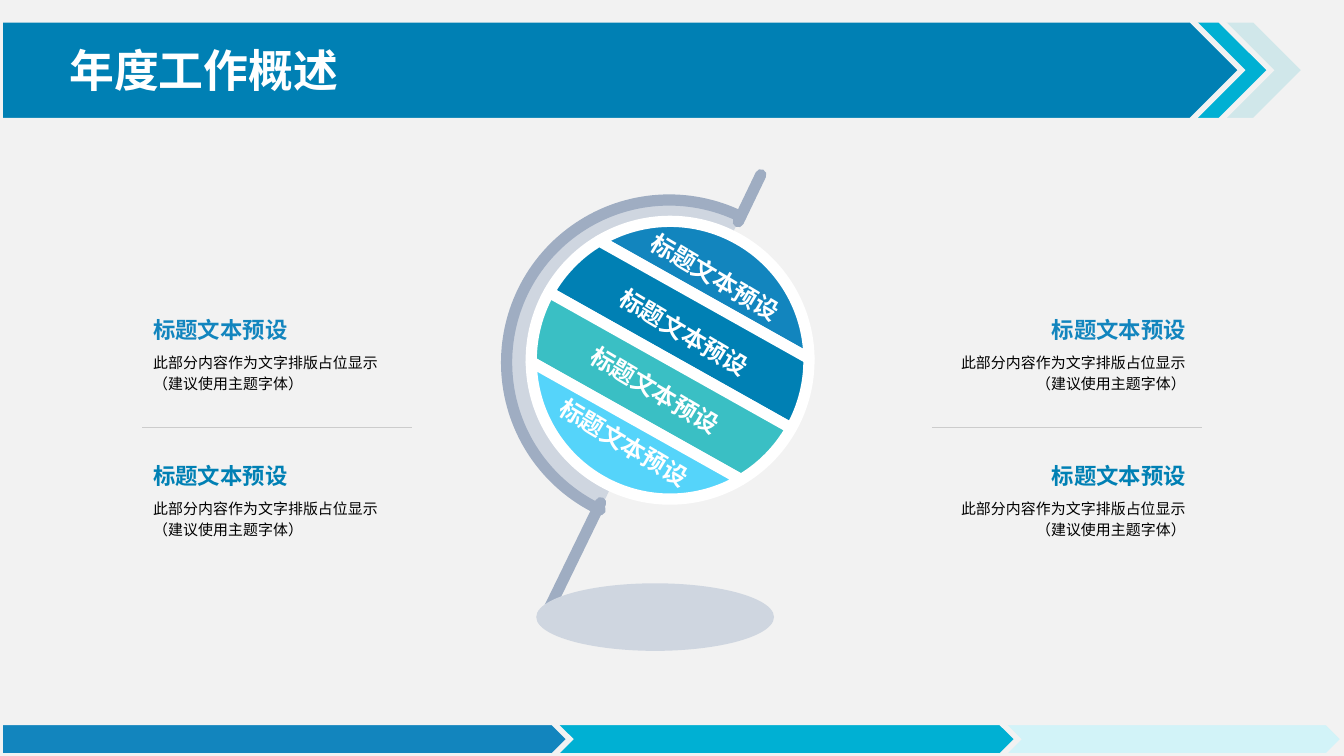
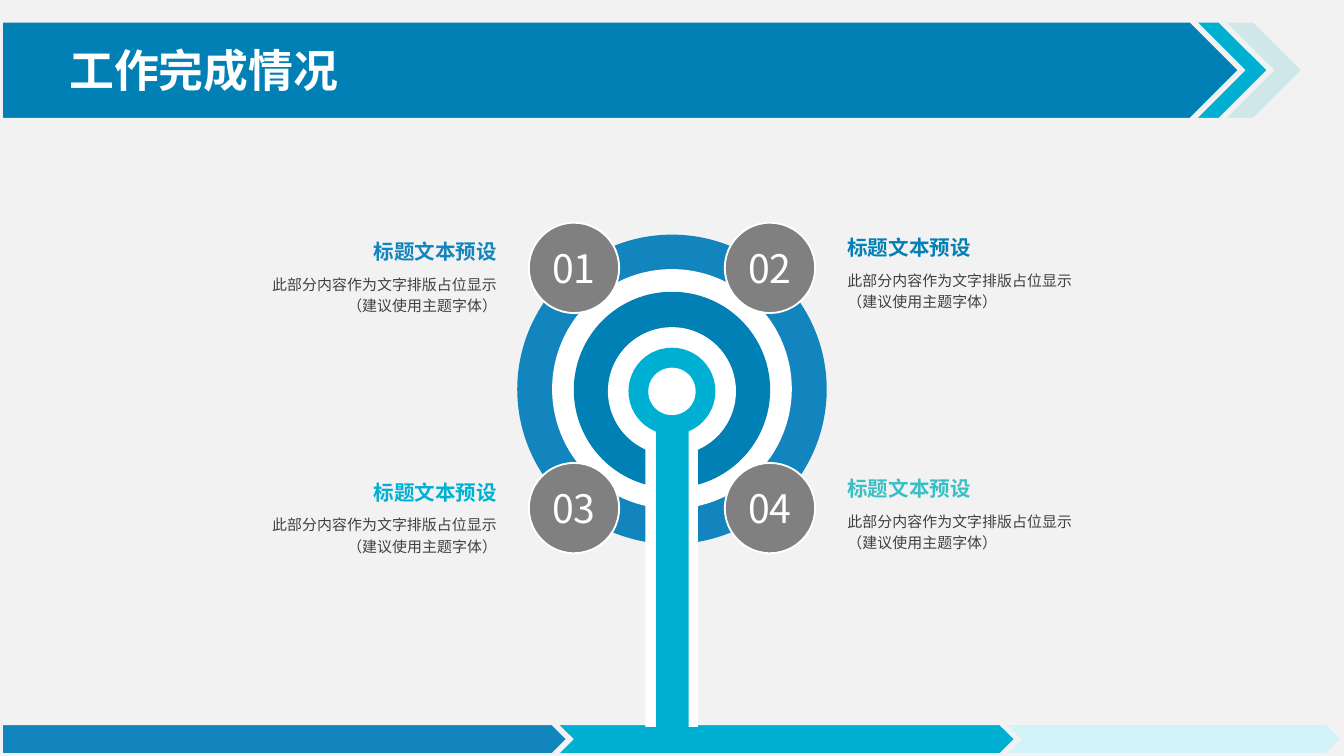
from copy import deepcopy
from dataclasses import dataclass
from math import asin, cos, pi, radians, sin, tan
from typing import Any

from lxml import etree
from pptx import Presentation
from pptx.dml.color import RGBColor
from pptx.enum.shapes import MSO_CONNECTOR, MSO_SHAPE, PP_PLACEHOLDER
from pptx.enum.text import MSO_ANCHOR, MSO_AUTO_SIZE, PP_ALIGN
from pptx.oxml.ns import qn
from pptx.util import Pt

LEFT, RIGHT, CENTER = PP_ALIGN.LEFT, PP_ALIGN.RIGHT, PP_ALIGN.CENTER
TOP, MIDDLE = MSO_ANCHOR.TOP, MSO_ANCHOR.MIDDLE
GROW = MSO_AUTO_SIZE.SHAPE_TO_FIT_TEXT
STRAIGHT = MSO_CONNECTOR.STRAIGHT
TITLE = PP_PLACEHOLDER.TITLE
ARC, OVAL, RECT, PENTAGON = (
    MSO_SHAPE.ARC, MSO_SHAPE.OVAL, MSO_SHAPE.RECTANGLE, MSO_SHAPE.PENTAGON)

HEADING = "标题文本预设"
BODY = "此部分内容作为文字排版占位显示\n（建议使用主题字体）"


@dataclass(frozen=True)
class Theme:
    font: str = "Noto Sans CJK SC"
    page: str = "F2F2F2"
    white: str = "FFFFFF"
    black: str = "000000"
    dark: str = "404040"
    grey: str = "808080"
    rule: str = "CCCCCC"
    blue: str = "1285BE"
    deep: str = "0080B4"
    cyan: str = "00B0D3"
    teal: str = "3ABFC4"
    sky: str = "55D4FA"
    mist: str = "D0E7EA"
    ice: str = "D2F3F8"
    steel: str = "9FADC2"
    pale_steel: str = "CFD6E0"
    title_size: float = 24
    number_size: float = 21
    globe_size: float = 12.9
    body_size: float = 8


THEME = Theme()


@dataclass(frozen=True)
class Box:
    left: float
    top: float
    width: float
    height: float


@dataclass(frozen=True)
class TextStyle:
    size: float
    color: str
    bold: bool = False
    align: Any = LEFT
    anchor: Any = TOP
    spacing: float | None = None
    wrap: bool = True
    inset: tuple[float, float] = (7.2, 3.6)


@dataclass(frozen=True)
class EntryStyle:
    width: float
    heading_height: float
    body_height: float
    body_drop: float
    heading_size: float
    body_color: str
    anchor: Any
    inset: float


@dataclass(frozen=True)
class Entry:
    left: float
    top: float
    color: str
    align: Any


@dataclass(frozen=True)
class Part:
    kind: Any
    box: Box
    fill: str


def set_values(target: Any, values: dict[str, Any]) -> None:
    for name, value in values.items():
        setattr(target, name, value)


def set_line(line: Any, color: str, width: float, cap: str = "flat") -> None:
    line.color.rgb = RGBColor.from_string(color)
    line.width = Pt(width)
    line._get_or_add_ln().set("cap", cap)


def paint(shape: Any, fill: str, line: tuple | None = None) -> Any:
    shape.shadow.inherit = False
    shape.fill.solid()
    shape.fill.fore_color.rgb = RGBColor.from_string(fill)
    if line:
        set_line(shape.line, *line)
    else:
        shape.line.fill.background()
    return shape


def place(box: Box) -> tuple:
    return Pt(box.left), Pt(box.top), Pt(box.width), Pt(box.height)


def add_part(slide: Any, part: Part, line: tuple | None = None) -> Any:
    return paint(slide.shapes.add_shape(part.kind, *place(part.box)), part.fill, line)


def add_line(slide: Any, start: tuple, end: tuple, line: tuple) -> None:
    connector = slide.shapes.add_connector(STRAIGHT, *map(Pt, start + end))
    set_line(connector.line, *line)
    etree.SubElement(connector._element.spPr, qn("a:effectLst"))


def write(shape: Any, text: str, style: TextStyle) -> None:
    frame = shape.text_frame
    across, down = map(Pt, style.inset)
    set_values(frame, {
        "word_wrap": style.wrap, "vertical_anchor": style.anchor,
        "margin_left": across, "margin_right": across,
        "margin_top": down, "margin_bottom": down})
    paragraph = frame.paragraphs[0]
    set_values(paragraph, {
        "text": text, "alignment": style.align, "line_spacing": style.spacing})
    for run in paragraph.runs:
        set_values(run.font, {
            "name": THEME.font, "size": Pt(style.size), "bold": style.bold})
        run.font.color.rgb = RGBColor.from_string(style.color)
        etree.SubElement(run.font._element, qn("a:ea"), typeface=THEME.font)
    # Line breaks take the type size of the text around them
    for line_break in paragraph._p.findall(qn("a:br")):
        line_break.insert(0, deepcopy(paragraph.runs[0].font._element))


def add_text(slide: Any, box: Box, text: str, style: TextStyle) -> Any:
    shape = slide.shapes.add_textbox(*place(box))
    write(shape, text, style)
    return shape


def add_entry(slide: Any, entry: Entry, style: EntryStyle) -> None:
    inset = (style.inset, 0)
    add_text(slide, Box(entry.left, entry.top + style.body_drop, style.width, style.body_height),
             BODY, TextStyle(THEME.body_size, style.body_color, align=entry.align,
                             spacing=1.2, inset=inset))
    add_text(slide, Box(entry.left, entry.top, style.width, style.heading_height),
             HEADING, TextStyle(style.heading_size, entry.color, True, entry.align,
                                style.anchor, wrap=False, inset=inset))


# Shared bands and titles
BANDS = [Part(PENTAGON, Box(0, top, width, height), fill)
         for top, height, steps in (
             (10.6, 54, ((699.1, THEME.mist), (680.6, THEME.cyan), (665.1, THEME.deep))),
             (387, 18, ((720, THEME.ice), (545.2, THEME.cyan), (305.2, THEME.blue))))
         for width, fill in steps]


def prepare_master(slide: Any, master: Any, layout: Any) -> None:
    for holder in [*master.placeholders, *layout.placeholders]:
        if holder.placeholder_format.type != TITLE:
            holder._element.getparent().remove(holder._element)
    background = master.background.fill
    background.solid()
    background.fore_color.rgb = RGBColor.from_string(THEME.page)
    for index, part in enumerate(BANDS):
        band = add_part(slide, part, (THEME.page, 3))
        etree.SubElement(band.line._get_or_add_ln(), qn("a:miter"), lim="800000")
        band._element.nvSpPr.cNvPr.id = 100 + index
        master.shapes._spTree.insert(2 + index, band._element)


def add_title(slide: Any, text: str) -> None:
    title = slide.shapes.title
    set_values(title, dict(zip(("left", "top", "width", "height"),
                               place(Box(32, 20.2, 240.5, 34.6)))))
    write(title, text, TextStyle(THEME.title_size, THEME.white, True, inset=(5.1, 2.9)))
    title.text_frame.auto_size = GROW


# Globe: four equal slices of a tilted disc
GLOBE_X, GLOBE_Y, GLOBE_RADIUS, GLOBE_TILT = 359, 193, 74.4, 29.3
SLICE_FILLS = (THEME.blue, THEME.deep, THEME.teal, THEME.sky)
LABEL_CORNERS = ((337.7, 137.5), (321, 167.2), (305.3, 198), (288.8, 226.2))


def bend(segment: Any, start: float, end: float, middle: float, half_width: float) -> None:
    """Turn a straight side into the arc of the disc between two angles."""
    handle = 4 / 3 * tan((end - start) / 4)
    top = middle - 1 / len(SLICE_FILLS)
    curve = etree.Element(qn("a:cubicBezTo"))
    for angle, reach in ((start, handle), (end, -handle), (end, 0)):
        x = cos(angle) - reach * sin(angle) + half_width
        y = sin(angle) + reach * cos(angle) - top
        etree.SubElement(curve, qn("a:pt"), x=str(Pt(GLOBE_RADIUS * x)),
                         y=str(Pt(GLOBE_RADIUS * y)))
    segment.getparent().replace(segment, curve)


def add_slice(slide: Any, index: int, fill: str) -> None:
    height = 2 / len(SLICE_FILLS)
    upper = -1 + index * height
    middle = upper + height / 2
    start, end = asin(upper), asin(upper + height)
    angles = (start, end, pi - end, pi - start)
    tilt = radians(GLOBE_TILT)
    center_x = GLOBE_X - GLOBE_RADIUS * middle * sin(tilt)
    center_y = GLOBE_Y + GLOBE_RADIUS * middle * cos(tilt)
    points = [(Pt(center_x + GLOBE_RADIUS * cos(angle)),
               Pt(center_y + GLOBE_RADIUS * (sin(angle) - middle))) for angle in angles]
    builder = slide.shapes.build_freeform(*points[0])
    builder.add_line_segments(points[1:], close=True)
    piece = paint(builder.convert_to_shape(), fill, (THEME.white, 6))
    right_side, _, left_side = list(piece._element.iter(qn("a:lnTo")))[:3]
    half_width = max(cos(start), cos(end))
    bend(right_side, start, end, middle, half_width)
    bend(left_side, pi - end, pi - start, middle, half_width)
    piece.rotation = GLOBE_TILT


def add_globe(slide: Any) -> None:
    # Stand
    metal = (THEME.steel, 6, "rnd")
    frame = add_part(slide, Part(ARC, Box(271.4, 107.1, 174.2, 174.2), THEME.pale_steel), metal)
    frame.adjustments[0], frame.adjustments[1] = 107.4, 0
    frame.rotation = 296.1
    add_line(slide, (294.5, 325.4), (321.8, 269.3), metal)
    add_line(slide, (395.5, 118.8), (407.6, 93.6), metal)
    add_part(slide, Part(OVAL, Box(287.3, 312.5, 127.4, 36.2), THEME.pale_steel))
    # Slices and their labels
    for index, fill in enumerate(SLICE_FILLS):
        add_slice(slide, index, fill)
    style = TextStyle(THEME.globe_size, THEME.white, True, wrap=False)
    for left, top in LABEL_CORNERS:
        label = add_text(slide, Box(left, top, 92.9, 21.6), HEADING, style)
        label.rotation = 30.8


def build_overview(slide: Any) -> None:
    add_title(slide, "年度工作概述")
    add_globe(slide)
    style = EntryStyle(154, 18, 30.2, 18.2, 12, THEME.black, TOP, 0)
    for left, align, rule_left in ((481.4, RIGHT, 499.2), (82.1, LEFT, 76.3)):
        for row, color in enumerate((THEME.blue, THEME.deep)):
            add_entry(slide, Entry(left, 169.3 + 78.2 * row, color, align), style)
        add_line(slide, (rule_left, 229), (rule_left + 144.5, 229), (THEME.rule, 0.5))


# Target: rings and stem, from back to front
def ring(center_y: float, size: float, fill: str) -> Part:
    return Part(OVAL, Box(360 - size / 2, center_y - size / 2, size, size), fill)


def stem(left: float, width: float, fill: str) -> Part:
    return Part(RECT, Box(left, 222.5, width, 167), fill)


TARGET = (
    ring(208.6, 165.8, THEME.blue), ring(208.4, 128.4, THEME.white),
    ring(208.9, 105.2, THEME.deep), ring(209.6, 68.6, THEME.white),
    stem(345.7, 28.2, THEME.white), ring(209.6, 46.6, THEME.cyan),
    ring(209.7, 25.4, THEME.white), stem(351.5, 17.5, THEME.cyan))
RESULTS = (
    Entry(106.6, 123.6, THEME.blue, RIGHT), Entry(436.7, 121.5, THEME.deep, LEFT),
    Entry(106.6, 252.3, THEME.cyan, RIGHT), Entry(436.7, 250.6, THEME.teal, LEFT))


def build_results(slide: Any) -> None:
    add_title(slide, "工作完成情况")
    for part in TARGET:
        add_part(slide, part)
    style = EntryStyle(177.1, 22.3, 46.8, 22.1, 11, THEME.dark, MIDDLE, 17.3)
    number_style = TextStyle(THEME.number_size, THEME.white, align=CENTER,
                             anchor=MIDDLE, wrap=False)
    for index, entry in enumerate(RESULTS):
        row, column = divmod(index, 2)
        add_entry(slide, entry, style)
        box = Box(283.3 + 105 * column, 119.3 + 128.7 * row, 48.4, 48.4)
        badge = add_part(slide, Part(OVAL, box, THEME.grey), (THEME.white, 1))
        write(badge, f"{index + 1:02}", number_style)


def main() -> None:
    deck = Presentation()
    set_values(deck, {"slide_width": Pt(720), "slide_height": Pt(405)})
    title_only = deck.slide_layouts[5]
    overview, results = (deck.slides.add_slide(title_only) for _ in range(2))
    prepare_master(overview, deck.slide_master, title_only)
    build_overview(overview)
    build_results(results)
    deck.save("out.pptx")


if __name__ == "__main__":
    main()
